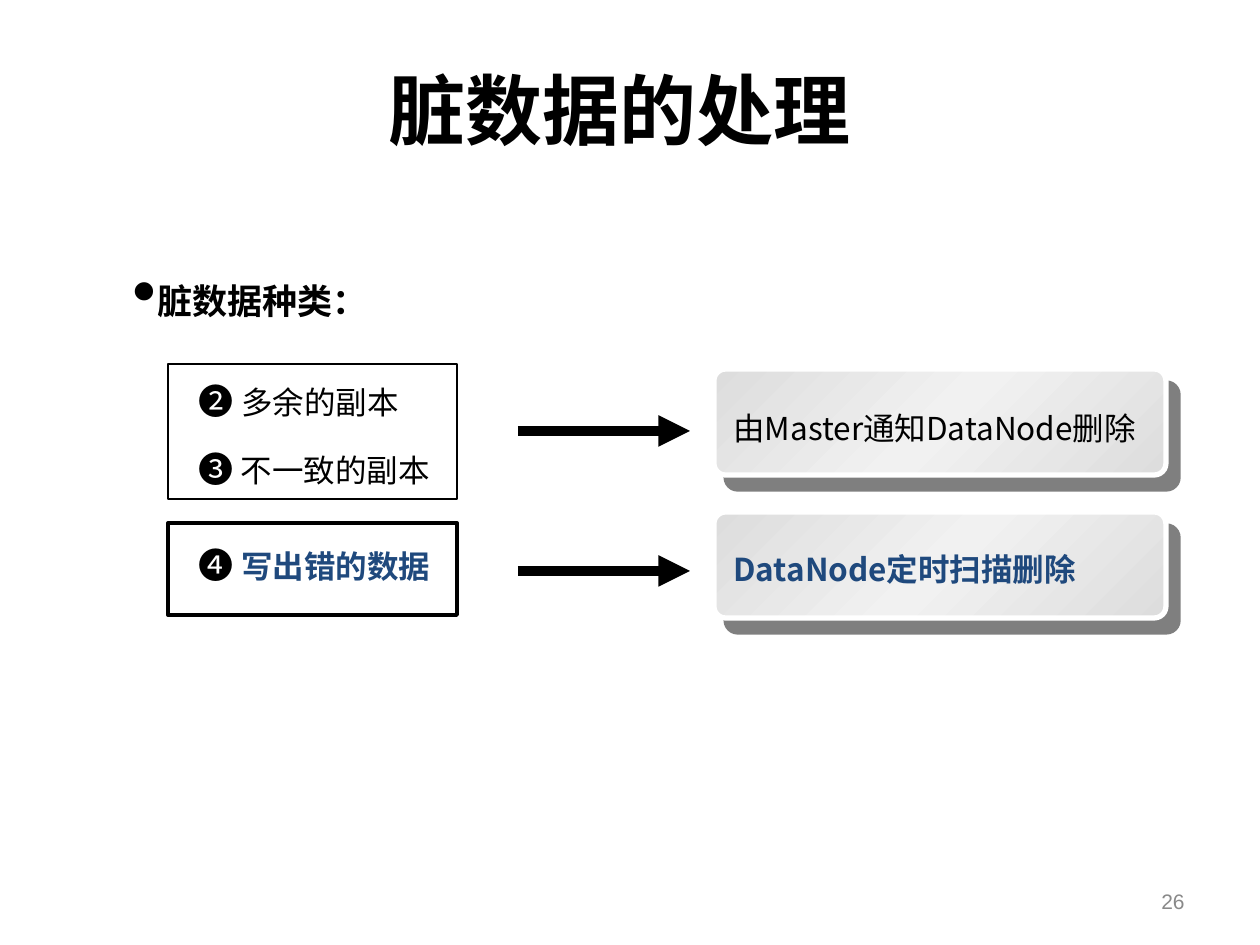
"""Build the slide on handling dirty data."""
from copy import deepcopy
from dataclasses import dataclass

from lxml.etree import SubElement
from pptx import Presentation
from pptx.dml.color import RGBColor
from pptx.enum.shapes import MSO_CONNECTOR, MSO_SHAPE
from pptx.enum.text import MSO_ANCHOR, PP_ALIGN
from pptx.oxml.ns import qn
from pptx.util import Emu, Pt

BLACK, BLUE, GREY, WHITE = "000000", "1F497D", "898989", "FFFFFF"
CJK = "Noto Sans CJK SC"


@dataclass(frozen=True)
class Run:
    text: str
    size: int
    name: str = CJK
    color: str = BLACK
    bold: bool = False


@dataclass(frozen=True)
class Box:
    left: int
    top: int
    width: int
    height: int


@dataclass(frozen=True)
class Label:
    box: Box
    runs: tuple[Run, ...]
    align: PP_ALIGN = PP_ALIGN.LEFT
    anchor: MSO_ANCHOR = MSO_ANCHOR.TOP
    bullet: bool = False


@dataclass(frozen=True)
class Handling:
    frame: Box
    frame_weight: float
    arrow_y: int
    card_top: int
    text_top: int
    action: Run


def px(length: int) -> Emu:
    return Emu(round(length * 914400 / 126))


def rgb(color: str) -> RGBColor:
    return RGBColor.from_string(color)


def place(box: Box) -> tuple[Emu, ...]:
    return tuple(px(n) for n in (box.left, box.top, box.width, box.height))


def add_bullet(paragraph) -> None:
    properties = paragraph._p.get_or_add_pPr()
    color = SubElement(properties, qn("a:buClr"))
    SubElement(color, qn("a:srgbClr"), val=BLACK)
    SubElement(properties, qn("a:buSzPct"), val="200000")
    SubElement(properties, qn("a:buChar"), char="•")


def add_label(shapes, label: Label) -> None:
    frame = shapes.add_textbox(*place(label.box)).text_frame
    frame.word_wrap = True
    frame.vertical_anchor = label.anchor
    paragraph = frame.paragraphs[0]
    paragraph.alignment = label.align
    if label.bullet:
        add_bullet(paragraph)
    for part in label.runs:
        run = paragraph.add_run()
        run.text = part.text
        formats = {"size": Pt(part.size), "name": part.name, "bold": part.bold}
        for attribute, value in formats.items():
            setattr(run.font, attribute, value)
        run.font.color.rgb = rgb(part.color)
        SubElement(run._r.get_or_add_rPr(), qn("a:ea"), typeface=CJK)


def add_frame(shapes, box: Box, weight: float) -> None:
    frame = shapes.add_shape(MSO_SHAPE.RECTANGLE, *place(box))
    frame.shadow.inherit = False
    frame.fill.background()
    frame.line.color.rgb = rgb(BLACK)
    frame.line.width = Pt(weight)


def add_arrow(shapes, y: int) -> None:
    arrow = shapes.add_connector(MSO_CONNECTOR.STRAIGHT, px(518), px(y), px(690), px(y))
    arrow.line.color.rgb = rgb(BLACK)
    arrow.line.width = Pt(6)
    SubElement(arrow.line._get_or_add_ln(), qn("a:tailEnd"), type="triangle")
    SubElement(arrow._element.spPr, qn("a:effectLst"))


def add_card(shapes, box: Box) -> None:
    card = shapes.add_shape(MSO_SHAPE.ROUNDED_RECTANGLE, *place(box))
    card.adjustments[0] = 0.11
    card.fill.gradient()
    card.fill.gradient_angle = 135
    properties = card._element.spPr
    stops = properties.find(qn("a:gradFill")).find(qn("a:gsLst"))
    stops.insert(1, deepcopy(stops[0]))
    ramp = ((0, "DDDDDD"), (0.5, "F1F1F1"), (1, "DDDDDD"))
    for stop, (position, color) in zip(card.fill.gradient_stops, ramp):
        stop.position = position
        stop.color.rgb = rgb(color)
    card.line.color.rgb = rgb(WHITE)
    card.line.width = Pt(3)
    card.shadow.inherit = False
    shadow = SubElement(
        properties.find(qn("a:effectLst")), qn("a:outerShdw"),
        blurRad="0", dist=str(Pt(10.6)), dir=str(49 * 60000), algn="ctr", rotWithShape="0",
    )
    shade = SubElement(shadow, qn("a:srgbClr"), val=BLACK)
    SubElement(shade, qn("a:alpha"), val="50000")


def add_handling(shapes, handling: Handling) -> None:
    add_frame(shapes, handling.frame, handling.frame_weight)
    add_arrow(shapes, handling.arrow_y)
    group = shapes.add_group_shape().shapes
    add_card(group, Box(714, handling.card_top, 452, 106))
    add_label(group, Label(Box(721, handling.text_top, 460, 50), (handling.action,)))


def item(top: int, *runs: Run) -> Label:
    return Label(Box(186, top, 261, 55), runs)


LABELS = (
    Label(Box(53, 30, 1134, 158), (Run("脏数据的处理", 44, "Calibri", bold=True),),
          PP_ALIGN.CENTER, MSO_ANCHOR.MIDDLE),
    Label(Box(120, 273, 401, 55), (Run("脏数据种类：", 20, "Arial", bold=True),), bullet=True),
    item(373, Run("❷ ", 20, "Arial"), Run("多余的副本", 18)),
    item(441, Run("❸", 20, "Arial"), Run(" 不一致的副本", 18)),
    item(537, Run("❹ ", 20, "Arial"), Run("写出错的数据", 18, color=BLUE, bold=True)),
    Label(Box(903, 876, 294, 50), (Run("26", 12, "Arial", GREY),),
          PP_ALIGN.RIGHT, MSO_ANCHOR.MIDDLE),
)
HANDLINGS = (
    Handling(Box(168, 364, 289, 135), 0.75, 431, 369, 403,
             Run("由Master通知DataNode删除", 18)),
    Handling(Box(168, 523, 289, 92), 2.25, 571, 512, 544,
             Run("DataNode定时扫描删除", 18, color=BLUE, bold=True)),
)


def main() -> None:
    deck = Presentation()
    deck.slide_width, deck.slide_height = px(1260), px(945)
    shapes = deck.slides.add_slide(deck.slide_layouts[6]).shapes
    for label in LABELS:
        add_label(shapes, label)
    for handling in HANDLINGS:
        add_handling(shapes, handling)
    deck.save("out.pptx")


if __name__ == "__main__":
    main()
